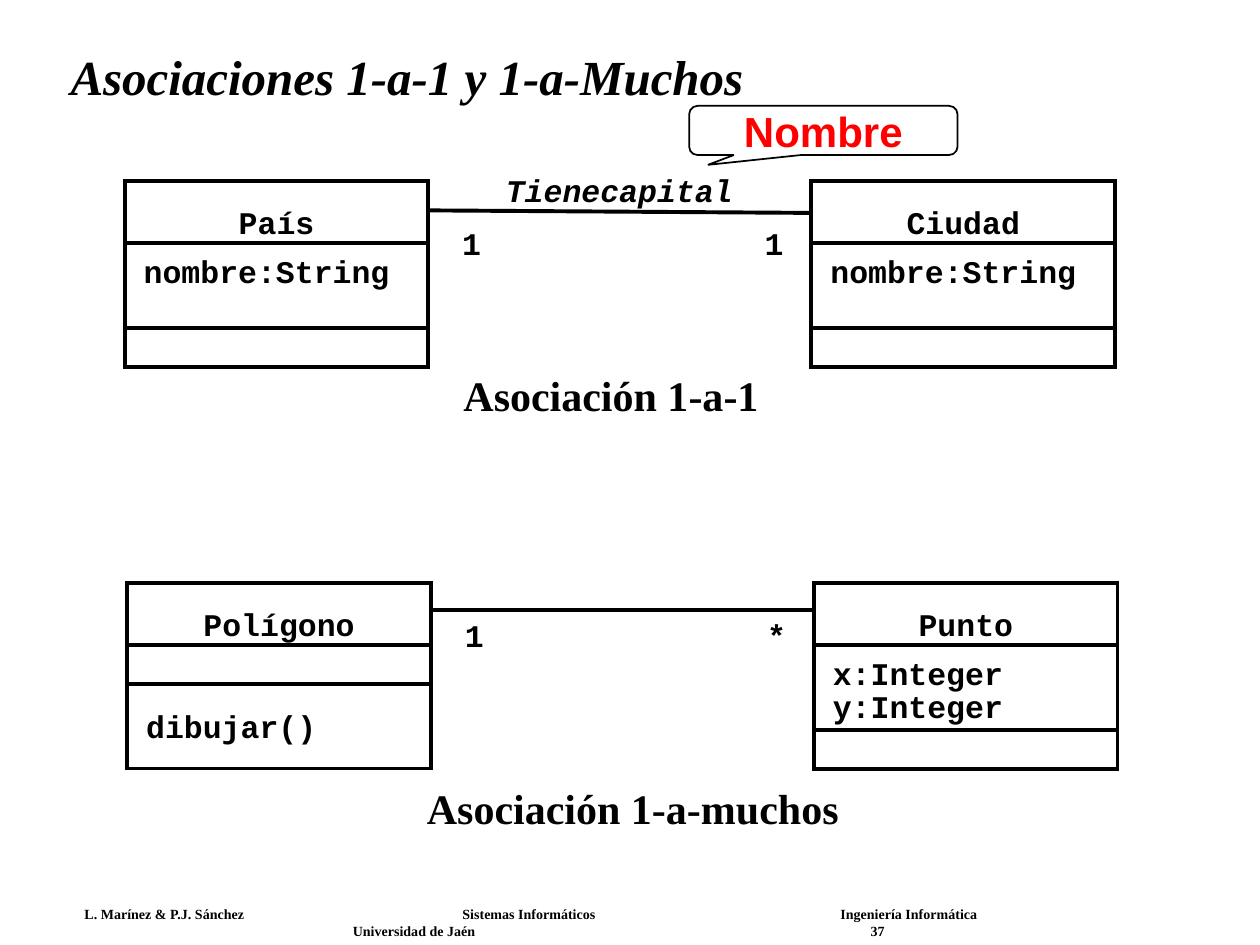
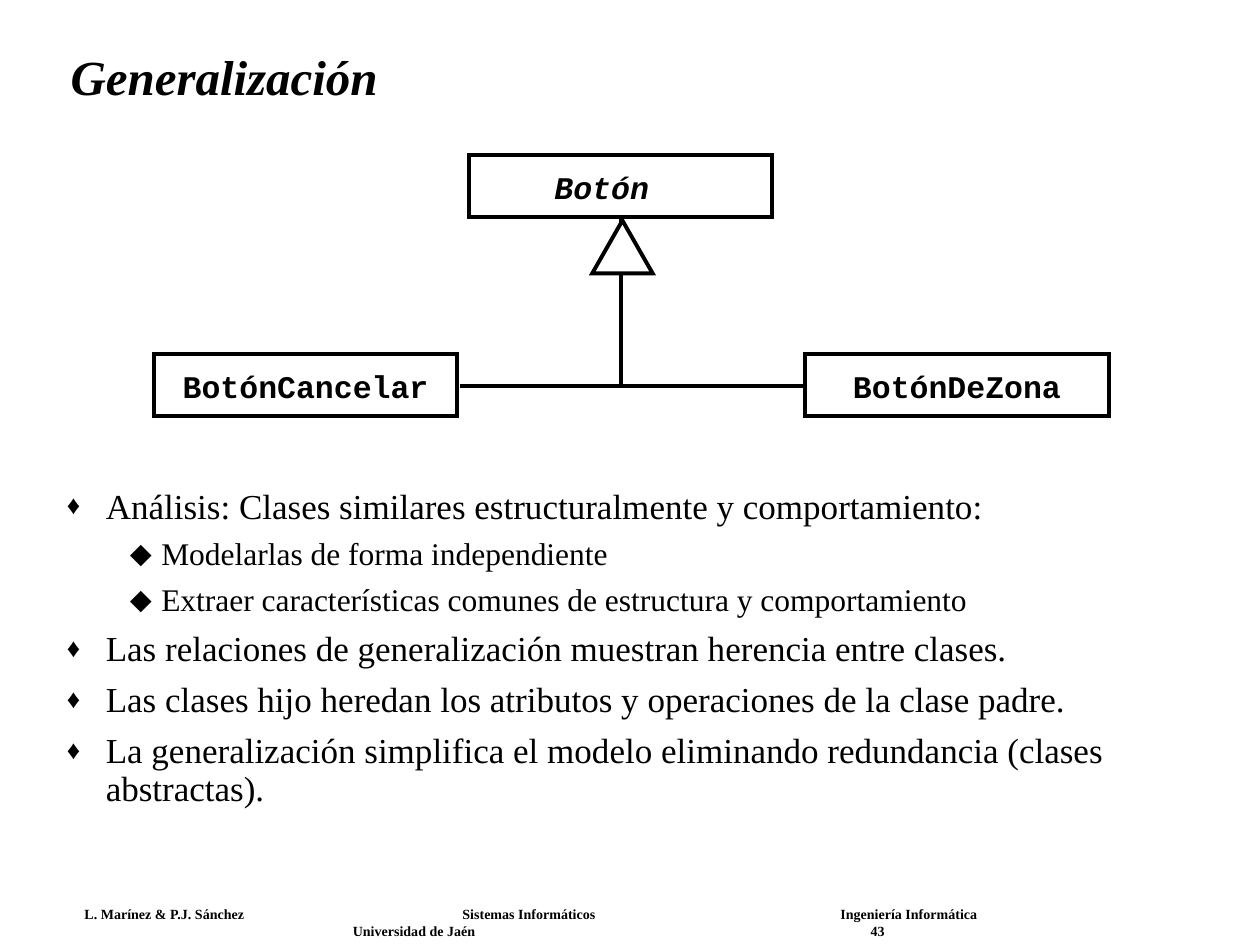
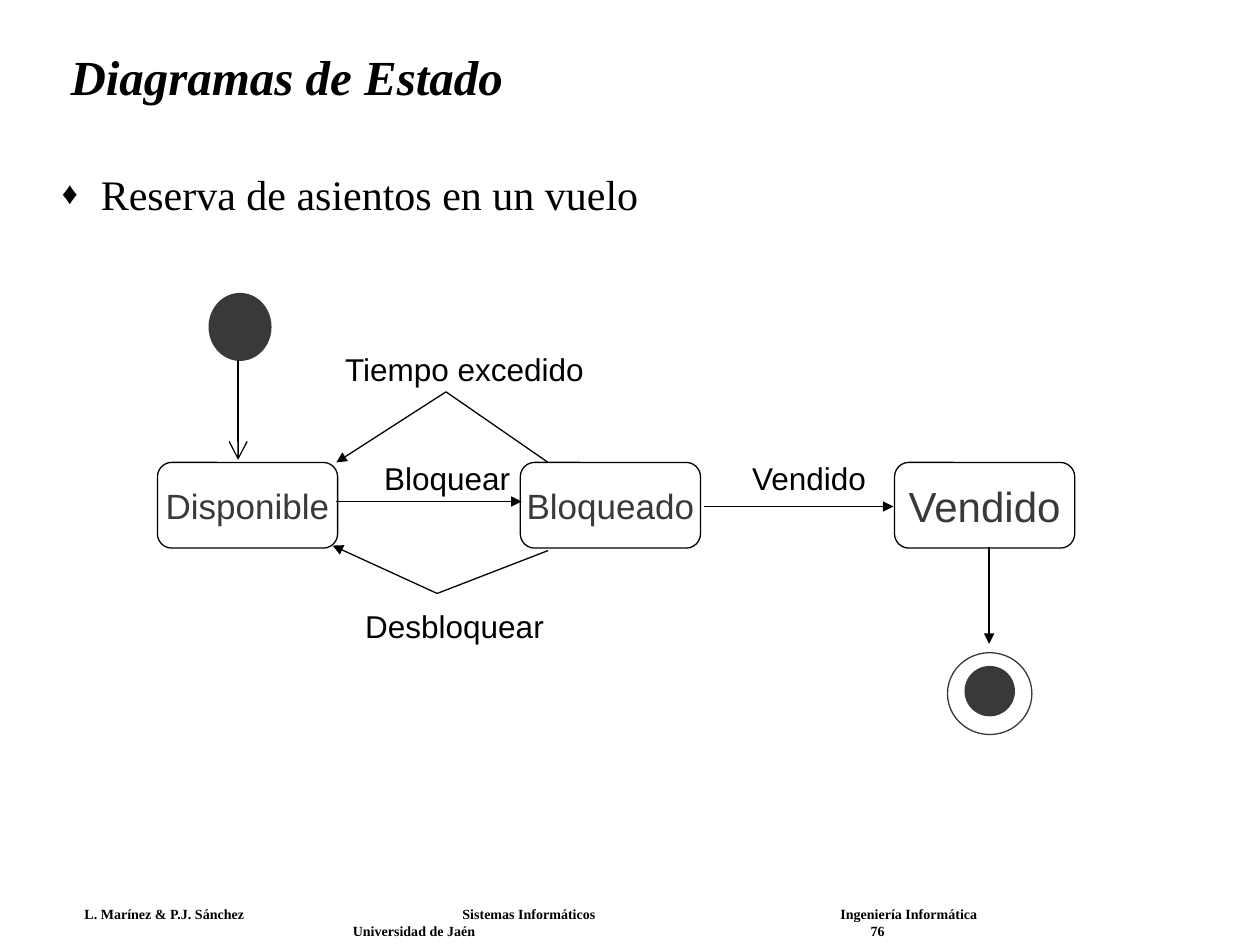
from lxml.etree import SubElement
from pptx import Presentation
from pptx.dml.color import RGBColor
from pptx.enum.shapes import MSO_CONNECTOR as Connector, MSO_SHAPE as Shape
from pptx.enum.text import MSO_ANCHOR as Anchor, MSO_AUTO_SIZE as AutoSize, PP_ALIGN as Align
from pptx.oxml.ns import qn
from pptx.util import Inches, Pt

COLORS = {"black": "000000", "white": "FFFFFF", "red": "FF0000", "gray": "393939"}
SERIF, SANS, MONO = "Times New Roman", "Arial", "Courier New"
TITLE_ONLY, TITLE_AND_BODY = 5, 1

CLASS_WIDTH, NAME_HEIGHT = 2.41, 0.49
FILLED_ROW, EMPTY_ROW = 0.67, 0.31
MONO_CHAR = 0.15  # width of one 18 pt monospaced character
UML_LINE, STATE_LINE = 2.25, 0.75
STATE_WIDTH, STATE_HEIGHT = 1.43, 0.68


def color(name):
    return RGBColor.from_string(COLORS[name])


def inches(*lengths):
    return [Inches(length) for length in lengths]


# Text helpers
def style(paragraph, size, font=SERIF, bold=False, italic=False, tint="black"):
    paragraph.font.name = font
    paragraph.font.size = Pt(size)
    paragraph.font.bold = bold
    paragraph.font.italic = italic
    paragraph.font.color.rgb = color(tint)


def set_margins(frame, horizontal=0.1, vertical=0.05):
    frame.margin_left = frame.margin_right = Inches(horizontal)
    frame.margin_top = frame.margin_bottom = Inches(vertical)


def add_label(slide, box, text, size=18, align=Align.LEFT, margins=(0.1, 0.05), **font):
    frame = slide.shapes.add_textbox(*inches(*box)).text_frame
    frame.word_wrap = False
    set_margins(frame, *margins)
    frame.text = text
    for index, paragraph in enumerate(frame.paragraphs):
        paragraph.alignment = align
        if index:
            paragraph.line_spacing = 0.9
        style(paragraph, size, **font)


def add_tabs(paragraph, stops):
    tabs = SubElement(paragraph._p.get_or_add_pPr(), qn("a:tabLst"))
    for stop in stops:
        SubElement(tabs, qn("a:tab"), pos=str(Inches(stop)), algn="l")


def add_bullet(paragraph, indent, hanging, symbol, percent):
    properties = paragraph._p.get_or_add_pPr()
    properties.set("marL", str(Inches(indent)))
    properties.set("indent", str(-Inches(hanging)))
    tint = SubElement(properties, qn("a:buClr"))
    SubElement(tint, qn("a:srgbClr"), val=COLORS["black"])
    SubElement(properties, qn("a:buSzPct"), val=str(percent * 1000))
    SubElement(properties, qn("a:buChar"), char=symbol)


# Shape helpers
def set_line(line, tint, width):
    line.color.rgb = color(tint)
    line.width = Pt(width)
    SubElement(line._get_or_add_ln(), qn("a:miter"), lim="800000")


def add_outline(slide, kind, box, fill=None, line="black", width=STATE_LINE):
    shape = slide.shapes.add_shape(kind, *inches(*box))
    shape.shadow.inherit = False
    if fill:
        shape.fill.solid()
        shape.fill.fore_color.rgb = color(fill)
    else:
        shape.fill.background()
    set_line(shape.line, line, width)
    return shape


def fill_text(shape, text, size, wrap=True, **font):
    frame = shape.text_frame
    frame.word_wrap = wrap
    frame.vertical_anchor = Anchor.MIDDLE
    set_margins(frame)
    paragraph = frame.paragraphs[0]
    paragraph.text = text
    paragraph.alignment = Align.CENTER
    style(paragraph, size, font=SANS, **font)


def add_line(slide, start, end, width=STATE_LINE, arrow=None, arrow_size="med", bent=False):
    kind = Connector.ELBOW if bent else Connector.STRAIGHT
    connector = slide.shapes.add_connector(kind, *inches(*start, *end))
    set_line(connector.line, "black", width)
    properties = connector._element.spPr
    if bent:  # a single corner
        properties.find(qn("a:prstGeom")).set("prst", "bentConnector2")
    if arrow:
        SubElement(connector.line._get_or_add_ln(), qn("a:tailEnd"),
                   type=arrow, w=arrow_size, len=arrow_size)
    SubElement(properties, qn("a:effectLst"))


# Shared slide frame
def place(placeholder, box):
    placeholder.left, placeholder.top, placeholder.width, placeholder.height = inches(*box)
    frame = placeholder.text_frame
    frame.auto_size = AutoSize.NONE
    set_margins(frame)
    return frame


def add_footer(slide, number):
    frame = slide.shapes.add_textbox(*inches(0.59, 7.15, 8.65, 0.33)).text_frame
    frame.word_wrap = True
    set_margins(frame, 0.08, 0.04)
    rows = [("L. Marínez & P.J. Sánchez\tSistemas Informáticos\tIngeniería Informática", (3, 6)),
            (f"\tUniversidad de Jaén\t{number}", (2.13, 6.24))]
    frame.text = "\n".join(text for text, _ in rows)
    for paragraph, (_, stops) in zip(frame.paragraphs, rows):
        add_tabs(paragraph, stops)
        style(paragraph, 8, bold=True)


def new_slide(presentation, layout, title, number):
    slide = presentation.slides.add_slide(presentation.slide_layouts[layout])
    frame = place(slide.shapes.title, (0.46, 0.25, 8.92, 0.77))
    frame.vertical_anchor = Anchor.MIDDLE
    paragraph = frame.paragraphs[0]
    paragraph.text = title
    paragraph.alignment = Align.LEFT
    paragraph.line_spacing = 0.9
    style(paragraph, 28, bold=True, italic=True)
    add_footer(slide, number)
    return slide


def fill_body(slide, box, items, sizes):
    frame = place(slide.placeholders[1], box)
    frame.vertical_anchor = Anchor.TOP
    frame.text = "\n".join(text for _, text in items)
    bullets = [(0.31, 0.31, "♦", 75), (0.75, 0.25, "⬥", 100)]
    for index, (paragraph, (level, _)) in enumerate(zip(frame.paragraphs, items)):
        size = sizes[level]
        paragraph.level = level
        paragraph.line_spacing = 0.9
        paragraph.space_before = Pt(round(size * 0.375, 1) if index else 0)
        add_bullet(paragraph, *bullets[level])
        style(paragraph, size)


# Class diagrams
def add_class_name(slide, left, top, name, text_top, shift=0, italic=False):
    add_outline(slide, Shape.RECTANGLE, (left, top, CLASS_WIDTH, NAME_HEIGHT), width=UML_LINE)
    width = MONO_CHAR * len(name)
    text_left = left + (CLASS_WIDTH - width) / 2 + shift
    add_label(slide, (text_left, top + text_top, width, 0.3), name, align=Align.CENTER,
              margins=(0, 0), font=MONO, bold=True, italic=italic)


def add_class(slide, left, top, name, attributes="", methods=""):
    add_class_name(slide, left, top, name, 0.17)
    row_top = top + NAME_HEIGHT
    for text, text_top in ((attributes, 0.07), (methods, 0.18)):
        height = FILLED_ROW if text else EMPTY_ROW
        add_outline(slide, Shape.RECTANGLE, (left, row_top, CLASS_WIDTH, height), width=UML_LINE)
        if text:
            lines = text.split("\n")
            box = (left + 0.15, row_top + text_top,
                   MONO_CHAR * len(lines[0]), 0.3 + 0.27 * (len(lines) - 1))
            add_label(slide, box, text, margins=(0, 0), font=MONO, bold=True)
        row_top += height


def add_association(slide, left, top, classes, ends, line_tops, ends_top):
    right = left + 5.45
    start_top, end_top = line_tops
    add_line(slide, (left + CLASS_WIDTH, top + start_top), (right, top + end_top), UML_LINE)
    for class_left, parts in zip((left, right), classes):
        add_class(slide, class_left, top, *parts)
    for offset, text in zip((2.58, 4.98), ends):
        add_label(slide, (left + offset, top + ends_top, 0.35, 0.4), text, font=MONO, bold=True)


def build_associations(presentation):
    slide = new_slide(presentation, TITLE_ONLY, "Asociaciones 1-a-1 y 1-a-Muchos", 37)
    add_association(slide, 0.99, 1.44, [("País", "nombre:String"), ("Ciudad", "nombre:String")],
                    "11", (0.23, 0.25), 0.29)
    add_association(slide, 1.01, 4.63, [("Polígono", "", "dibujar()"),
                                        ("Punto", "x:Integer\ny:Integer")],
                    "1*", (0.21, 0.21), 0.21)
    add_label(slide, (3.91, 1.31, 2.01, 0.4), "Tienecapital", align=Align.CENTER,
              font=MONO, bold=True, italic=True)
    add_label(slide, (3.58, 2.88, 2.54, 0.5), "Asociación 1-a-1", 24, bold=True)
    add_label(slide, (3.29, 6.16, 3.47, 0.5), "Asociación 1-a-muchos", 24, bold=True)

    # Callout for the association name
    callout = add_outline(slide, Shape.ROUNDED_RECTANGULAR_CALLOUT, (5.47, 0.84, 2.13, 0.39),
                          "white", width=1)
    for index, value in enumerate((-0.43, 0.7, 0.17)):
        callout.adjustments[index] = value
    fill_text(callout, "Nombre", 24, bold=True, tint="red")


def add_inheritance(slide, left, top):
    child_top, trunk = top + 1.58, left + 3.71
    right = left + 5.17
    add_class_name(slide, left + 2.5, top, "Botón", 0.1, shift=-0.15, italic=True)
    add_class_name(slide, left, child_top, "BotónCancelar", 0.1)
    add_class_name(slide, right, child_top, "BotónDeZona", 0.1)
    for side in (left + CLASS_WIDTH + 0.02, right - 0.02):
        add_line(slide, (side, child_top + 0.25), (trunk, top + 0.51), UML_LINE, bent=True)
    add_outline(slide, Shape.ISOSCELES_TRIANGLE, (trunk - 0.23, top + 0.52, 0.48, 0.42),
                "white", width=UML_LINE)


def build_generalization(presentation):
    slide = new_slide(presentation, TITLE_AND_BODY, "Generalización", 43)
    fill_body(slide, (0.43, 3.83, 9.34, 2.91), [
        (0, "Análisis: Clases similares estructuralmente y comportamiento:"),
        (1, "Modelarlas de forma independiente"),
        (1, "Extraer características comunes de estructura y comportamiento"),
        (0, "Las relaciones de generalización muestran herencia entre clases."),
        (0, "Las clases hijo heredan los atributos y operaciones de la clase padre."),
        (0, "La generalización simplifica el modelo eliminando redundancia (clases abstractas)."),
    ], sizes=(20, 18))
    add_inheritance(slide, 1.22, 1.23)


# State diagram
def add_state_diagram(slide, left, top):
    def at(x, y):
        return left + x, top + y

    # States
    for x, text, size in ((0, "Disponible", 20), (2.88, "Bloqueado", 20), (5.85, "Vendido", 24)):
        state = add_outline(slide, Shape.ROUNDED_RECTANGLE,
                            (*at(x, 1.34), STATE_WIDTH, STATE_HEIGHT), "white")
        fill_text(state, text, size, wrap=False, tint="gray")

    # Initial and final states
    for x, y, width, height, fill in ((0.41, 0, 0.49, 0.53, "gray"),
                                      (6.41, 2.96, 0.39, 0.39, "gray"),
                                      (6.27, 2.85, 0.67, 0.65, None)):
        add_outline(slide, Shape.OVAL, (*at(x, y), width, height), fill, "gray")

    # Transitions
    add_line(slide, at(0.64, 0.53), at(0.64, 1.32), arrow="arrow", arrow_size="lg")
    for start, end, arrow in (((1.42, 1.65), (2.89, 1.65), "triangle"),
                              ((3.1, 1.34), (2.29, 0.78), None),
                              ((2.29, 0.78), (1.42, 1.34), "triangle"),
                              ((3.1, 2.04), (2.22, 2.38), None),
                              ((2.22, 2.38), (1.39, 2), "triangle"),
                              ((4.34, 1.69), (5.84, 1.69), "triangle"),
                              ((6.6, 2.01), (6.6, 2.78), "triangle")):
        add_line(slide, at(*start), at(*end), arrow=arrow)

    # Transition names
    for x, y, width, text in ((1.7, 1.26, 1.2, "Bloquear"), (1.39, 0.4, 2.1, "Tiempo excedido"),
                              (1.55, 2.44, 1.62, "Desbloquear"), (4.62, 1.26, 1.11, "Vendido")):
        add_label(slide, (*at(x, y), width, 0.4), text, font=SANS)


def build_states(presentation):
    slide = new_slide(presentation, TITLE_AND_BODY, "Diagramas de Estado", 76)
    fill_body(slide, (0.39, 1.33, 9.03, 5.25), [(0, "Reserva de asientos en un vuelo")], sizes=(24,))
    add_state_diagram(slide, 1.25, 2.33)


def main():
    presentation = Presentation()
    presentation.slide_width, presentation.slide_height = inches(10, 7.5)
    build_associations(presentation)
    build_generalization(presentation)
    build_states(presentation)
    presentation.save("out.pptx")


if __name__ == "__main__":
    main()
